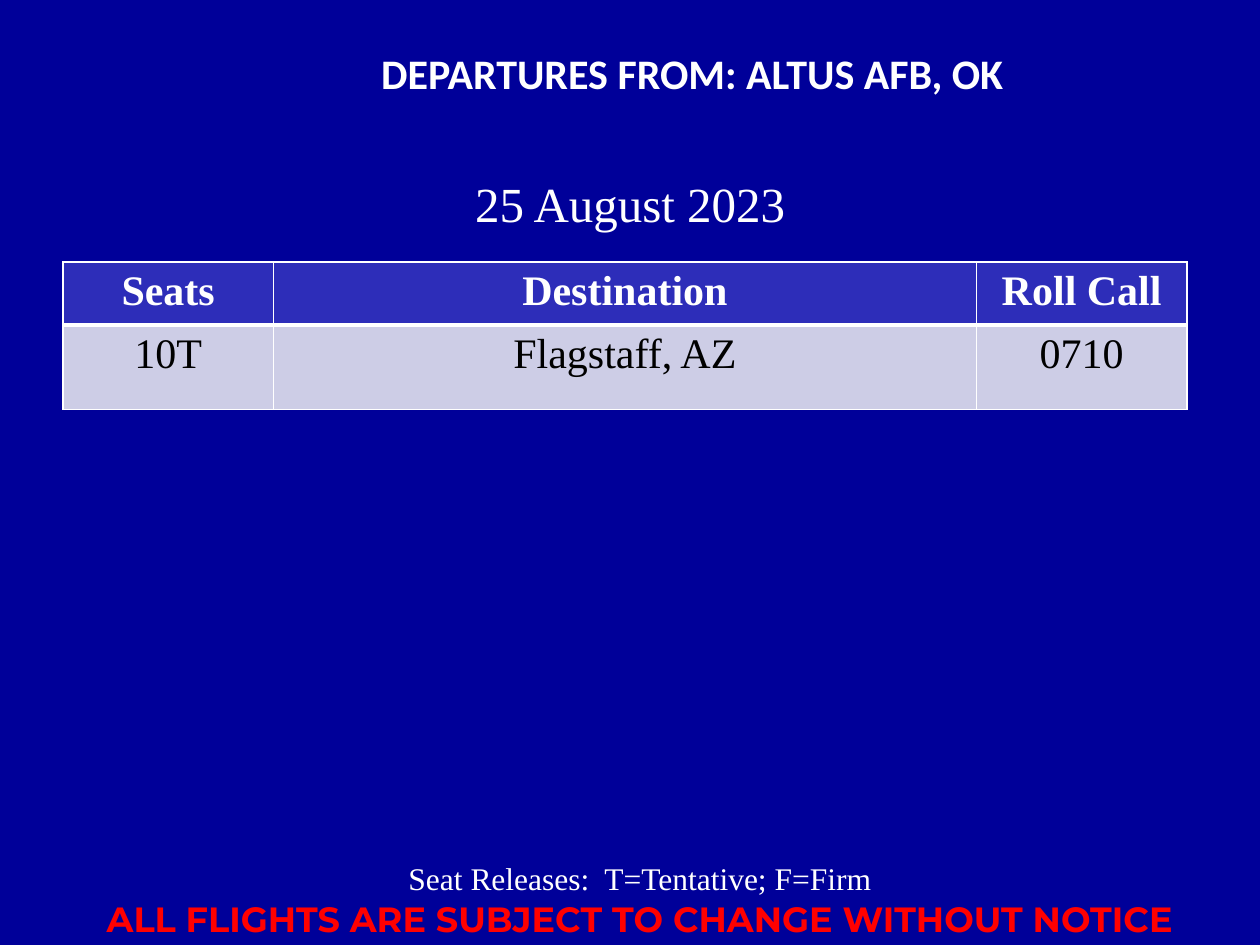
from pptx import Presentation
from pptx.dml.color import RGBColor as RGB
from pptx.enum.text import MSO_AUTO_SIZE as Fit, PP_ALIGN as Align
from pptx.oxml.ns import qn
from pptx.util import Inches, Pt
from lxml.etree import SubElement as Sub

SERIF = "Times New Roman"
WHITE, RED, BLACK = "FFFFFF", "FF0000", "000000"
NAVY, BLUE, PALE = "000099", "2D2DB9", "CDCDE6"


def paint(fill, tone):
    fill.solid()
    fill.fore_color.rgb = RGB.from_string(tone)


def add_run(para, text, size, tone, font=SERIF, bold=False):
    para.alignment = Align.CENTER
    run = para.add_run()
    run.text = text
    run.font.size = Pt(size)
    run.font.name = font
    run.font.bold = bold
    paint(run.font.fill, tone)


def add_text(slide, box, *lines):
    frame = slide.shapes.add_textbox(*map(Inches, box)).text_frame
    frame.word_wrap = True
    frame.auto_size = Fit.SHAPE_TO_FIT_TEXT
    for i, line in enumerate(lines):
        para = frame.add_paragraph() if i else frame.paragraphs[0]
        add_run(para, *line)


def add_edges(cell, **edges):
    # Borders have to come before the cell's fill
    props = cell._tc.get_or_add_tcPr()
    for side, width in edges.items():
        line = Sub(props, qn(f"a:ln{side}"), w=str(Pt(width)))
        Sub(Sub(line, qn("a:solidFill")), qn("a:srgbClr"), val=WHITE)


def add_grid(slide, box, cols, rows, data):
    frame = slide.shapes.add_table(len(rows), len(cols), *map(Inches, box))
    table = frame.table
    for col, width in zip(table.columns, cols):
        col.width = Inches(width)
    for r, (row, high) in enumerate(zip(table.rows, rows)):
        row.height = Inches(high)
        head = r == 0
        for cell, text in zip(row.cells, data[r]):
            add_edges(cell, L=1, R=1, T=1 if head else 3, B=3 if head else 1)
            paint(cell.fill, BLUE if head else PALE)
            add_run(cell.text_frame.paragraphs[0], text, 24,
                    WHITE if head else BLACK, bold=head)


def main():
    deck = Presentation()
    deck.slide_width, deck.slide_height = Inches(10), Inches(7.5)
    slide = deck.slides.add_slide(deck.slide_layouts[6])
    paint(slide.background.fill, NAVY)

    # Heading
    add_text(slide, (1.58, 0.33, 7.83, 0.5),
             ("DEPARTURES FROM: ALTUS AFB, OK", 24, WHITE, "Calibri", True))

    # Footer notes
    add_text(slide, (0.33, 6.77, 9.5, 0.74),
             ("Seat Releases:  T=Tentative; F=Firm", 18, WHITE),
             ("ALL FLIGHTS ARE SUBJECT TO CHANGE WITHOUT NOTICE", 20, RED,
              "Montserrat", True))

    # Flights
    add_grid(slide, (0.5, 2.08, 8.92, 1.17), (1.67, 5.58, 1.67), (0.5, 0.67),
             (("Seats", "Destination", "Roll Call"),
              ("10T", "Flagstaff, AZ", "0710")))

    # Date
    add_text(slide, (2.54, 1.33, 4.92, 0.57), ("25 August 2023", 28, WHITE))

    deck.save("out.pptx")


if __name__ == "__main__":
    main()
